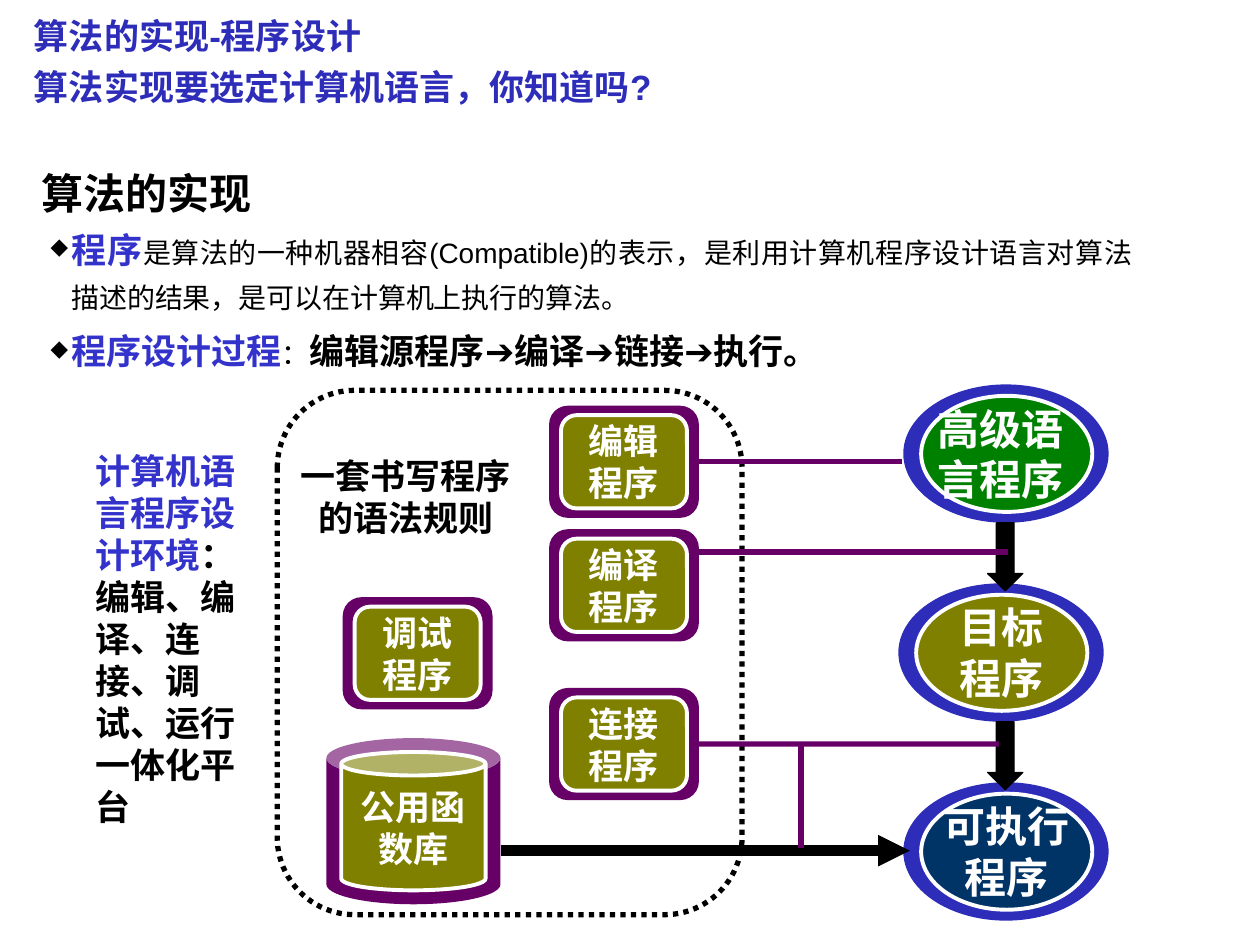
from dataclasses import dataclass

from lxml import etree
from pptx import Presentation
from pptx.dml.color import RGBColor
from pptx.enum.dml import MSO_LINE
from pptx.enum.shapes import MSO_CONNECTOR, MSO_SHAPE
from pptx.enum.text import MSO_ANCHOR, PP_ALIGN
from pptx.oxml.ns import qn
from pptx.util import Cm, Pt

OVAL, ROUNDED, CAN = MSO_SHAPE.OVAL, MSO_SHAPE.ROUNDED_RECTANGLE, MSO_SHAPE.CAN
DOWN_ARROW, STRAIGHT = MSO_SHAPE.DOWN_ARROW, MSO_CONNECTOR.STRAIGHT
LEFT, CENTER, JUSTIFY = PP_ALIGN.LEFT, PP_ALIGN.CENTER, PP_ALIGN.JUSTIFY
TOP, MIDDLE = MSO_ANCHOR.TOP, MSO_ANCHOR.MIDDLE
RIGHT_SIDE = 3


@dataclass(frozen=True)
class Theme:
    black: str = "000000"
    white: str = "FFFFFF"
    title: str = "2D2DB9"
    term: str = "3333CC"
    purple: str = "660066"
    olive: str = "808000"
    green: str = "008000"
    navy: str = "003366"
    heading_size: int = 24
    text_size: int = 20
    small_size: int = 16
    latin: str = "Arial"
    serif: str = "Times New Roman"
    chinese: str = "Noto Sans CJK SC"


THEME = Theme()


def rgb(colour):
    return RGBColor.from_string(colour)


def lengths(box):
    return [Cm(value) for value in box]


def format_run(run, size, colour, bold=True, font=THEME.latin):
    run.font.size = Pt(size)
    run.font.bold = bold
    run.font.color.rgb = rgb(colour)
    run.font.name = font
    east_asian = etree.Element(qn("a:ea"), typeface=THEME.chinese)
    run.font._element.find(qn("a:latin")).addnext(east_asian)


def format_frame(frame, size, colour, font, align=LEFT, anchor=TOP, wrap=True, spacing=1.0):
    frame.word_wrap = wrap
    frame.vertical_anchor = anchor
    for paragraph in frame.paragraphs:
        paragraph.alignment = align
        paragraph.line_spacing = spacing
        for run in paragraph.runs:
            format_run(run, size, colour, font=font)


def add_text(shapes, box, text, size, colour, font, **layout):
    frame = shapes.add_textbox(*lengths(box)).text_frame
    frame.text = text
    format_frame(frame, size, colour, font, **layout)
    return frame


def add_solid(shapes, kind, box, fill, outline=None, width=2.25):
    solid = shapes.add_shape(kind, *lengths(box))
    solid.shadow.inherit = False
    solid.fill.solid()
    solid.fill.fore_color.rgb = rgb(fill)
    if outline:
        solid.line.color.rgb = rgb(outline)
        solid.line.width = Pt(width)
    else:
        solid.line.fill.background()
    return solid


def add_line(shapes, start, end, colour=THEME.purple, width=3, arrow=False):
    line = shapes.add_connector(STRAIGHT, *lengths(start + end))
    line.line.color.rgb = rgb(colour)
    line.line.width = Pt(width)
    if arrow:
        etree.SubElement(line.line._get_or_add_ln(), qn("a:tailEnd"), type="triangle")
    etree.SubElement(line._element.spPr, qn("a:effectLst"))
    return line


def place_title(title, box):
    title.left, title.top, title.width, title.height = lengths(box)
    title.text_frame.text = "算法的实现-程序设计\n算法实现要选定计算机语言，你知道吗?"
    format_frame(title.text_frame, THEME.text_size, THEME.title, THEME.latin,
                 wrap=False, spacing=1.2)
    for paragraph in title.text_frame.paragraphs:
        paragraph.space_before = Pt(0)


def add_bullet_point(shapes, box, parts):
    """Place one diamond bullet made of (text, size, colour, bold) parts."""
    frame = shapes.add_textbox(*lengths(box)).text_frame
    frame.word_wrap = True
    paragraph = frame.paragraphs[0]
    paragraph.alignment = JUSTIFY
    paragraph.line_spacing = 1.3
    properties = paragraph._p.get_or_add_pPr()
    properties.set("marL", str(Cm(0.58)))
    properties.set("indent", str(Cm(-0.42)))
    bullet_colour = etree.SubElement(properties, qn("a:buClr"))
    etree.SubElement(bullet_colour, qn("a:srgbClr"), val=THEME.black)
    etree.SubElement(properties, qn("a:buSzPct"), val="65000")
    etree.SubElement(properties, qn("a:buChar"), char="◆")
    for text, *style in parts:
        run = paragraph.add_run()
        run.text = text
        format_run(run, *style)


def add_explanation(shapes, left, top):
    size, small = THEME.text_size, THEME.small_size
    add_text(shapes, (left, top, 6, 1.27), "算法的实现", THEME.heading_size,
             THEME.black, THEME.latin)
    add_bullet_point(shapes, (left + 0.03, top + 0.97, 22.48, 2.24), [
        ("程序", size, THEME.term, True),
        ("是算法的一种机器相容(Compatible)的表示，是利用计算机程序设计语言"
         "对算法描述的结果，是可以在计算机上执行的算法。", small, THEME.black, False)])
    add_bullet_point(shapes, (left + 0.03, top + 3.02, 22.48, 1.37), [
        ("程序设计过程", size, THEME.term, True),
        ("：", small, THEME.black, False),
        ("编辑源程序➔编译➔链接➔执行。", size, THEME.black, True)])


def add_environment(shapes, box):
    """Place the dotted border, its rule text and the note to its left."""
    left, top = box[:2]
    border = shapes.add_shape(ROUNDED, *lengths(box))
    border.shadow.inherit = False
    border.fill.background()
    border.line.color.rgb = rgb(THEME.black)
    border.line.width = Pt(3)
    border.line.dash_style = MSO_LINE.ROUND_DOT
    add_text(shapes, (left + 0.15, top + 1.15, 4.88, 1.96), "一套书写程序的语法规则",
             THEME.text_size, THEME.black, THEME.serif, align=CENTER, anchor=MIDDLE)
    note = add_text(shapes, (left - 3.91, top + 1.48, 3.96, 7.04), "计算机语言程序设计环境",
                    THEME.text_size, THEME.term, THEME.serif, anchor=MIDDLE)
    note.paragraphs[0]._p.get_or_add_pPr().set("hangingPunct", "0")
    details = note.paragraphs[0].add_run()
    details.text = "：编辑、编译、连接、调试、运行一体化平台"
    format_run(details, THEME.text_size, THEME.black, font=THEME.serif)


def add_stage(shapes, left, top, text, fill, label_inset=0.36):
    parts = shapes.add_group_shape().shapes
    add_solid(parts, OVAL, (left, top, 4.14, 2.79), THEME.title)
    add_solid(parts, OVAL, (left + 0.36, top + 0.23, 3.45, 2.34), fill, THEME.white)
    add_text(parts, (left + label_inset, top + 0.25, 3.43, 2.29), text,
             THEME.heading_size, THEME.white, THEME.chinese, align=CENTER)


def add_component(shapes, kind, box, inset, text, ratios=None):
    """Place a purple frame with a labelled olive panel inside and return the frame."""
    left, top, width, height = box
    across, down = inset
    parts = shapes.add_group_shape().shapes
    frame = add_solid(parts, kind, box, THEME.purple)
    panel = add_solid(parts, kind, (left + across, top + down, width - 2 * across,
                                    height - 2 * down), THEME.olive, THEME.white)
    if ratios:
        frame.adjustments[0], panel.adjustments[0] = ratios
    label = panel.text_frame
    label.margin_top = label.margin_bottom = 0
    label.text = text
    format_frame(label, THEME.text_size, THEME.white, THEME.chinese,
                 align=CENTER, anchor=MIDDLE)
    return frame


def add_tool(shapes, left, top, text):
    return add_component(shapes, ROUNDED, (left, top, 3.02, 2.26), (0.24, 0.19), text)


def add_stages(shapes, left, top, pitch=4.01):
    add_stage(shapes, left, top, "高级语言程序", THEME.green, label_inset=0.25)
    add_stage(shapes, left - 0.1, top + pitch, "目标\n程序", THEME.olive)
    add_stage(shapes, left, top + 2 * pitch, "可执行\n程序", THEME.navy)
    for step in range(2):
        arrow = add_solid(shapes, DOWN_ARROW, (left + 1.7, top + 2.79 + step * pitch, 0.71, 1.37),
                          THEME.black, THEME.black, 0.75)
        arrow.adjustments[1] = 0.49


def add_tools(shapes, left, top):
    """Place the tools and library, and link them to the stages on their right."""
    editor = add_tool(shapes, left, top, "编辑\n程序")
    add_tool(shapes, left, top + 2.49, "编译\n程序")
    linker = add_tool(shapes, left, top + 5.69, "连接\n程序")
    add_tool(shapes, left - 4.16, top + 3.86, "调试\n程序")
    add_component(shapes, CAN, (left - 4.49, top + 6.7, 3.51, 3.35), (0.3, 0.28),
                  "公用函数库", ratios=(0.24, 0.17))

    side, editor_y, linker_y, library_y = left + 3.02, top + 1.13, top + 6.82, top + 8.97
    editor_link = add_line(shapes, (side, editor_y), (left + 7.12, editor_y))
    editor_link.begin_connect(editor, RIGHT_SIDE)
    add_line(shapes, (side, top + 2.95), (left + 9.25, top + 2.95))
    linker_link = add_line(shapes, (side, linker_y), (left + 9.07, linker_y))
    linker_link.begin_connect(linker, RIGHT_SIDE)
    add_line(shapes, (left - 0.98, library_y), (left + 7.27, library_y),
             THEME.black, 6, arrow=True)
    add_line(shapes, (left + 5.08, linker_y), (left + 5.08, library_y - 0.05))


def main():
    presentation = Presentation()
    presentation.slide_width, presentation.slide_height = Cm(25.4), Cm(19.05)
    slide = presentation.slides.add_slide(presentation.slide_layouts[5])
    place_title(slide.shapes.title, (0.43, 0, 13.31, 2.29))
    add_explanation(slide.shapes, 0.58, 3.25)
    add_environment(slide.shapes, (5.59, 7.87, 9.37, 10.57))
    add_stages(slide.shapes, 18.21, 7.75)
    add_tools(slide.shapes, 11.07, 8.18)
    presentation.save("out.pptx")


if __name__ == "__main__":
    main()
